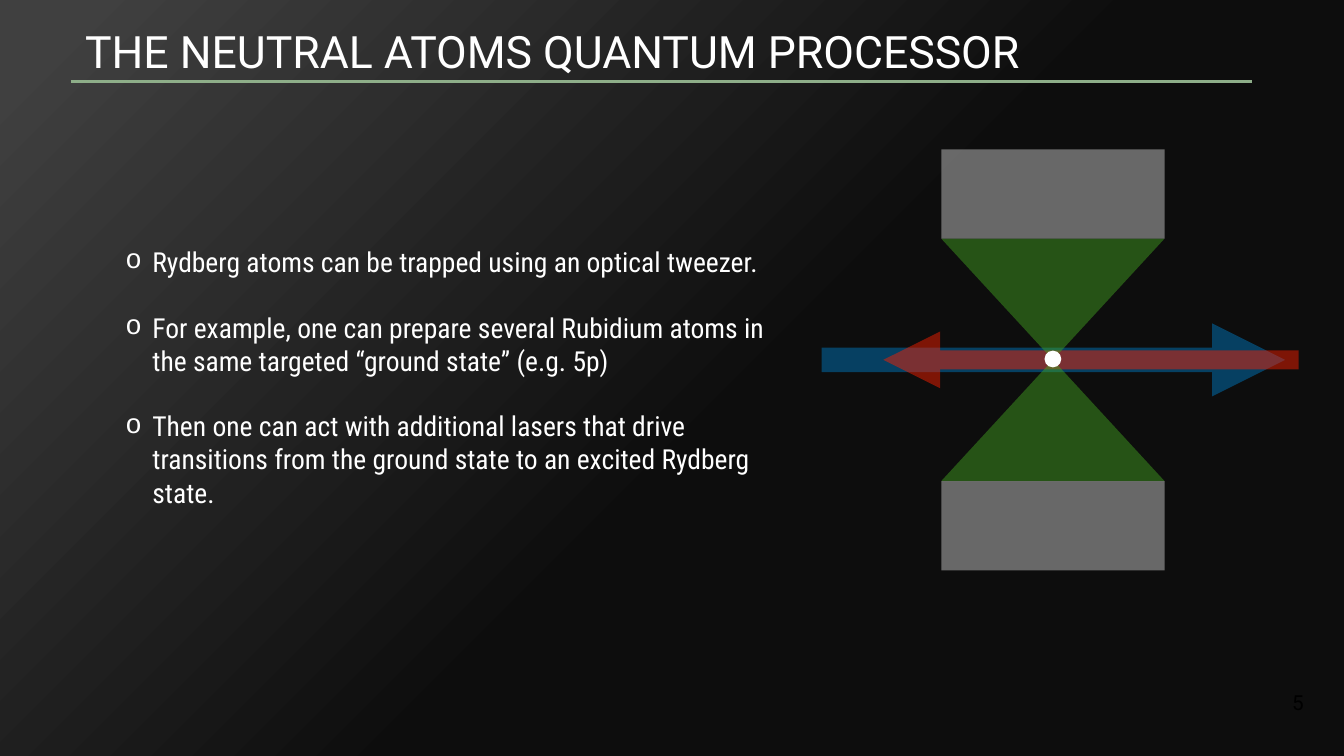
from pptx import Presentation
from pptx import util as u
from pptx.dml import color as dc
from pptx.enum import shapes, text
from pptx.oxml import ns
from lxml import etree

TITLE = "THE NEUTRAL ATOMS QUANTUM PROCESSOR"
POINTS = [
    "Rydberg atoms can be trapped using an optical tweezer.",
    "For example, one can prepare several Rubidium atoms in the same "
    "targeted “ground state” (e.g. 5p)",
    "Then one can act with additional lasers that drive transitions from "
    "the ground state to an excited Rydberg state.",
]
PAGE = "5"
STOPS = [("404040", 0.04), ("0D0D0D", 0.55)]
MID = (37.73, 12.9)
LENS = (8, 3.2)
TRAP = 8.69
ATOM = 0.6
BEAMS = [(29.44, 46.05, "0079BF", 24.75), (46.53, 31.65, "FA1F00", 19.25)]
FONTS = {
    "title": {"name": "Roboto", "size": u.Pt(45.3)},
    "body": {"name": "Roboto Condensed", "size": u.Pt(28)},
    "page": {"name": "Roboto", "size": u.Pt(21)},
}


def rgb(code):
    return dc.RGBColor.from_string(code)


def put(obj, **vals):
    for key, val in vals.items():
        setattr(obj, key, val)


def node(root, tag, **vals):
    return etree.SubElement(root, ns.qn(tag), vals)


def fade(root, pct):
    for clr in root.iter(ns.qn("a:srgbClr")):
        node(clr, "a:alpha", val=str(pct * 1000))


def place(shape, x, y, w, h):
    put(shape, left=u.Cm(x), top=u.Cm(y), width=u.Cm(w), height=u.Cm(h))


def frame(shape, pad, anchor):
    put(shape.text_frame, word_wrap=True, auto_size=text.MSO_AUTO_SIZE.NONE,
        vertical_anchor=anchor, margin_left=u.Cm(pad), margin_right=u.Cm(pad),
        margin_top=u.Cm(pad / 2), margin_bottom=u.Cm(pad / 2))
    return shape.text_frame


def style(para, kind, code, align=text.PP_ALIGN.LEFT):
    put(para, alignment=align, space_before=u.Pt(0), space_after=u.Pt(0))
    put(para.font, **FONTS[kind])
    para.font.color.rgb = rgb(code)


def line(slide, x1, x2, y, code, size):
    rule = slide.shapes.add_connector(
        shapes.MSO_CONNECTOR.STRAIGHT, u.Cm(x1), u.Cm(y), u.Cm(x2), u.Cm(y))
    rule.line.color.rgb = rgb(code)
    rule.line.width = u.Pt(size)
    node(rule._element.spPr, "a:effectLst")
    return rule


def part(slide, kind, w, h, y, code, pct=100):
    shape = slide.shapes.add_shape(
        kind, u.Cm(MID[0] - w / 2), u.Cm(y - h / 2), u.Cm(w), u.Cm(h))
    shape.shadow.inherit = False
    shape.fill.solid()
    shape.fill.fore_color.rgb = rgb(code)
    shape.line.fill.background()
    if pct < 100:
        fade(shape._element.spPr, pct)


def words(slide):
    title, body = slide.placeholders
    place(title, 2.95, 0.76, 37.62, 2.13)
    box = frame(title, 0.1, text.MSO_ANCHOR.MIDDLE)
    box.text = TITLE
    style(box.paragraphs[0], "title", "FFFFFF")

    place(body, 4.24, 8.66, 24.08, 9.83)
    box = frame(body, 0.25, text.MSO_ANCHOR.TOP)
    box.text = "\n".join(POINTS)
    for num, para in enumerate(box.paragraphs):
        props = para._p.get_or_add_pPr()
        put_in = str(u.Cm(0.97))
        props.set("marL", put_in)
        props.set("indent", "-" + put_in)
        node(props, "a:buFont", typeface="Courier New")
        node(props, "a:buChar", char="o")
        style(para, "body", "FFFFFF")
        if num:
            para.space_before = u.Pt(33)

    page = slide.shapes.add_textbox(u.Cm(44.2), u.Cm(24.48), u.Cm(2.77), u.Cm(1.4))
    box = frame(page, 0.25, text.MSO_ANCHOR.MIDDLE)
    box.text = PAGE
    style(box.paragraphs[0], "page", "000000", text.PP_ALIGN.RIGHT)


def setup(slide):
    for x1, x2, code, size in BEAMS:
        beam = line(slide, x1, x2, MID[1], code, size)
        edge = beam.line._get_or_add_ln()
        fade(edge, 48)
        node(edge, "a:tailEnd", type="triangle")
    kinds = shapes.MSO_SHAPE
    part(slide, kinds.FLOWCHART_COLLATE, LENS[0], TRAP, MID[1], "45AA21", 45)
    part(slide, kinds.OVAL, ATOM, ATOM, MID[1] - 0.03, "FFFFFF")
    for side in (-1, 1):
        y = MID[1] + side * (TRAP + LENS[1]) / 2
        part(slide, kinds.RECTANGLE, *LENS, y, "C0C0C0", 51)


def main():
    deck = Presentation()
    put(deck, slide_width=u.Cm(48.16), slide_height=u.Cm(27.1))
    slide = deck.slides.add_slide(deck.slide_layouts[1])
    fill = slide.background.fill
    fill.gradient()
    fill.gradient_angle = 315
    for stop, (code, spot) in zip(fill.gradient_stops, STOPS):
        stop.color.rgb = rgb(code)
        stop.position = spot
    words(slide)
    line(slide, 2.54, 44.86, 2.92, "8EAE89", 2.25)
    setup(slide)
    deck.save("out.pptx")


if __name__ == "__main__":
    main()
